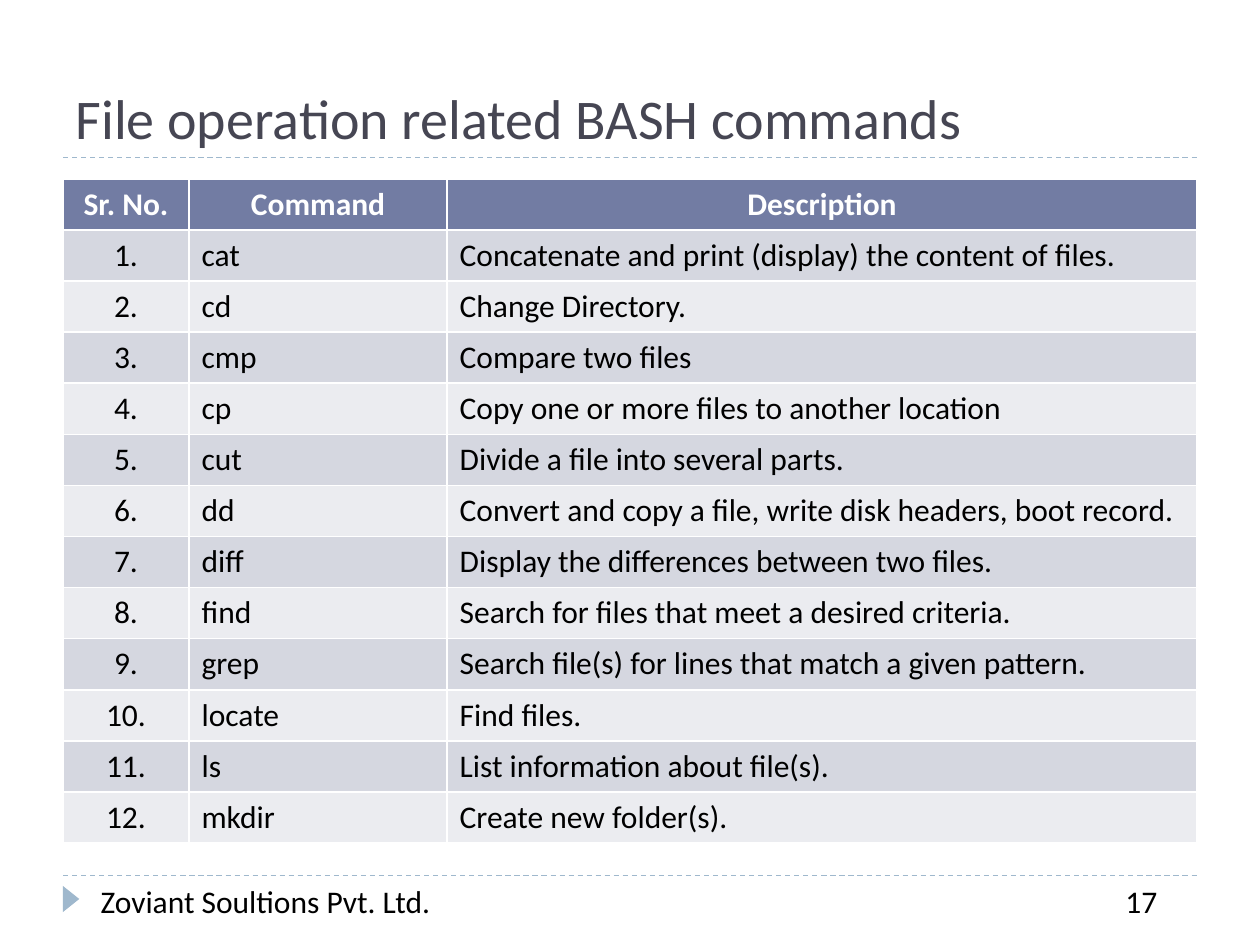
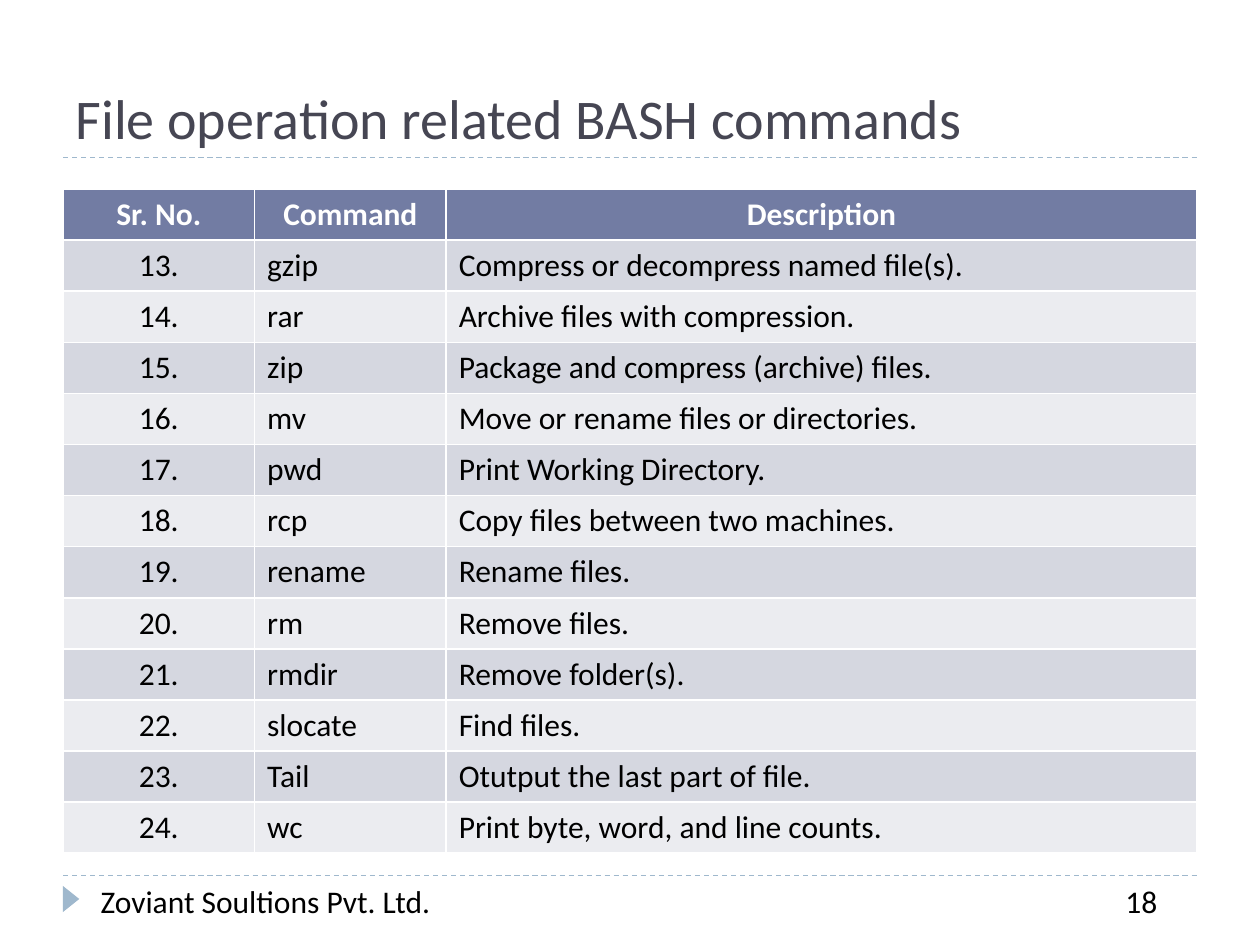
import pptx
import pptx.util
import pptx.dml.color
import pptx.enum.dml
import pptx.enum.shapes
import pptx.enum.text
import pptx.oxml

Pt = pptx.util.Pt
RGBColor = pptx.dml.color.RGBColor
Align = pptx.enum.text.PP_ALIGN
Anchor = pptx.enum.text.MSO_ANCHOR

INK = RGBColor(0x46, 0x46, 0x53)
SKY = RGBColor(0x9F, 0xB8, 0xCD)
HEAD = RGBColor(0x72, 0x7C, 0xA3)
BANDS = RGBColor(0xD5, 0xD7, 0xE0), RGBColor(0xEB, 0xEC, 0xF0)
WHITE = RGBColor(255, 255, 255)
BLACK = RGBColor(0, 0, 0)

FONT = "Calibri"
TITLE = "File operation related BASH commands"
FIRM = "Zoviant Soultions Pvt. Ltd."
LEFT, WIDTH = 36, 648
TABLE_H = 379.5
LABELS = "Sr. No.", "Command", "Description"

FIRST = [
    ("cat", "Concatenate and print (display) the content of files."),
    ("cd", "Change Directory."),
    ("cmp", "Compare two files"),
    ("cp", "Copy one or more files to another location"),
    ("cut", "Divide a file into several parts."),
    ("dd", "Convert and copy a file, write disk headers, boot record."),
    ("diff", "Display the differences between two files."),
    ("find", "Search for files that meet a desired criteria."),
    ("grep", "Search file(s) for lines that match a given pattern."),
    ("locate", "Find files."),
    ("ls", "List information about file(s)."),
    ("mkdir", "Create new folder(s)."),
]
SECOND = [
    ("gzip", "Compress or decompress named file(s)."),
    ("rar", "Archive files with compression."),
    ("zip", "Package and compress (archive) files."),
    ("mv", "Move or rename files or directories."),
    ("pwd", "Print Working Directory."),
    ("rcp", "Copy files between two machines."),
    ("rename", "Rename files."),
    ("rm", "Remove files."),
    ("rmdir", "Remove folder(s)."),
    ("slocate", "Find files."),
    ("Tail", "Otutput the last part of file."),
    ("wc", "Print byte, word, and line counts."),
]


def write(frame, text, color, size=18, bold=False, align=Align.LEFT):
    """Put one styled paragraph into a text frame."""
    frame.text = text
    para = frame.paragraphs[0]
    para.alignment = align
    font = para.font
    font.name, font.size, font.bold = FONT, Pt(size), bold
    font.color.rgb = color


def add_rule(slide, left, top, width):
    """Draw a dashed horizontal rule."""
    rule = slide.shapes.add_connector(
        pptx.enum.shapes.MSO_CONNECTOR.STRAIGHT,
        Pt(left), Pt(top), Pt(left + width), Pt(top))
    rule.line.color.rgb = SKY
    rule.line.width = Pt(0.75)
    rule.line.dash_style = pptx.enum.dml.MSO_LINE.DASH
    props = rule.line._get_or_add_ln().getparent()
    props.append(pptx.oxml.parse_xml(
        '<a:effectLst xmlns:a='
        '"http://schemas.openxmlformats.org/drawingml/2006/main"/>'))


def add_title(slide, left, top, width, height):
    """Place the title with a rule along its lower edge."""
    add_rule(slide, left, top + height, width)
    title = slide.shapes.title
    title.left, title.top = Pt(left), Pt(top)
    title.width, title.height = Pt(width), Pt(height)
    frame = title.text_frame
    frame.auto_size = pptx.enum.text.MSO_AUTO_SIZE.NONE
    frame.vertical_anchor = Anchor.BOTTOM
    write(frame, TITLE, INK, size=32)


def add_note(slide, text, left, top, width, height):
    """Place one line of footer text."""
    box = slide.shapes.add_textbox(Pt(left), Pt(top), Pt(width), Pt(height))
    box.text_frame.word_wrap = True
    write(box.text_frame, text, BLACK)


def add_foot(slide, page, left, top, width, height):
    """Place the footer rule, marker, firm name and page number."""
    add_rule(slide, left, top, width)
    mark = slide.shapes.add_shape(
        pptx.enum.shapes.MSO_SHAPE.ISOSCELES_TRIANGLE,
        Pt(left - 2.9), Pt(top + 8.6), Pt(15), Pt(9.4))
    mark.rotation = 90
    mark.shadow.inherit = False
    mark.fill.solid()
    mark.fill.fore_color.rgb = SKY
    mark.line.fill.background()
    add_note(slide, FIRM, left + 14.4, top, 273.6, height)
    add_note(slide, str(page), left + width - 48, top, 48, height)


def add_grid(slide, items, start, cols, left, top, width, height):
    """Place the numbered command table with banded rows."""
    rows = [LABELS]
    rows += [(f"{num}.", *item) for num, item in enumerate(items, start)]
    grid = slide.shapes.add_table(
        len(rows), len(cols), Pt(left), Pt(top), Pt(width), Pt(height)).table
    for col, size in zip(grid.columns, cols):
        col.width = Pt(size)
    for r, row in enumerate(rows):
        grid.rows[r].height = Pt(height / len(rows))
        for c, text in enumerate(row):
            cell = grid.cell(r, c)
            cell.fill.solid()
            cell.fill.fore_color.rgb = BANDS[(r - 1) % 2] if r else HEAD
            mid = r == 0 or c == 0
            write(cell.text_frame, text, BLACK if r else WHITE,
                  bold=r == 0, align=Align.CENTER if mid else Align.LEFT)


def add_page(deck, page, items, start, cols, top):
    """Build one slide of the command list."""
    slide = deck.slides.add_slide(deck.slide_layouts[5])
    add_title(slide, LEFT, 12, WIDTH, 78)
    add_grid(slide, items, start, cols, LEFT, top, WIDTH, TABLE_H)
    add_foot(slide, page, LEFT, 500.4, WIDTH, 29)


deck = pptx.Presentation()
deck.slide_width, deck.slide_height = Pt(720), Pt(540)
add_page(deck, 17, FIRST, 1, (72, 147.5, 428.5), 102.2)
add_page(deck, 18, SECOND, len(FIRST) + 1, (109.5, 109.5, 429), 108)
deck.save("out.pptx")
